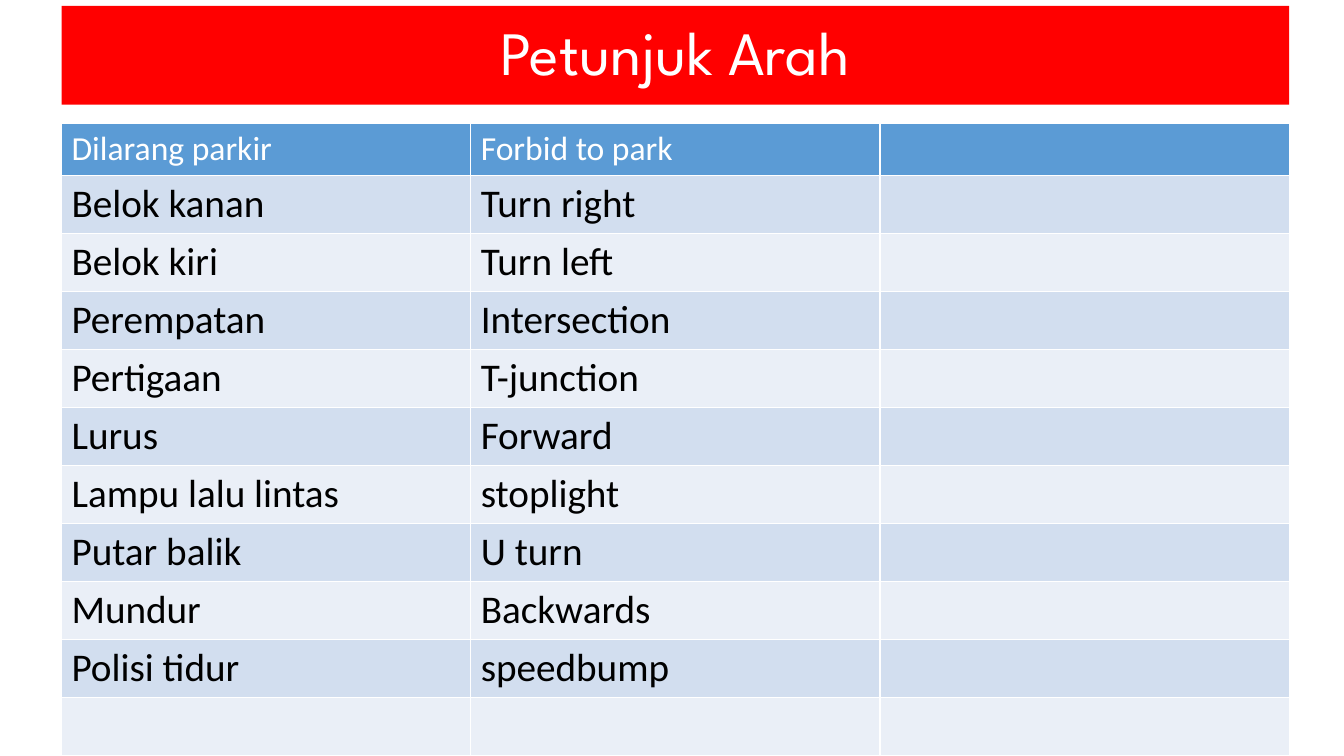
from dataclasses import dataclass

from lxml.etree import SubElement
from pptx import Presentation
from pptx.dml.color import RGBColor as Rgb
from pptx.enum.text import MSO_ANCHOR as Anchor, MSO_AUTO_SIZE as Fit, PP_ALIGN as Align
from pptx.oxml.ns import qn
from pptx.text.text import TextFrame as Frame
from pptx.util import Cm, Pt


@dataclass(frozen=True)
class Theme:
    red: str = "FF0000"
    blue: str = "5B9BD5"
    bands: tuple[str, str] = ("D2DEEF", "EAEFF7")
    white: str = "FFFFFF"
    black: str = "000000"
    display: str = "League Spartan"
    body: str = "Calibri"
    title: int = 44
    head: int = 24
    cell: int = 28


@dataclass(frozen=True)
class Sign:
    local: str = ""
    english: str = ""
    image: str = ""


THEME = Theme()
LEFT, WIDTH = Cm(1.55), Cm(30.94)
SIGNS = [
    Sign("Dilarang parkir", "Forbid to park"),
    Sign("Belok kanan", "Turn right"),
    Sign("Belok kiri", "Turn left"),
    Sign("Perempatan", "Intersection"),
    Sign("Pertigaan", "T-junction"),
    Sign("Lurus", "Forward"),
    Sign("Lampu lalu lintas", "stoplight"),
    Sign("Putar balik", "U turn"),
    Sign("Mundur", "Backwards"),
    Sign("Polisi tidur", "speedbump"),
    Sign(),
]


def write(frame: Frame, text: str, *, size: int, color: str,
          face: str = THEME.body, align: Align = Align.LEFT) -> None:
    para = frame.paragraphs[0]
    para.alignment = align
    if not text:
        # An empty cell keeps the line height of its type size
        SubElement(para._p, qn("a:endParaRPr"), sz=str(size * 100))
        return
    run = para.add_run()
    run.text = text
    font = run.font
    font.name, font.size, font.bold = face, Pt(size), False
    font.color.rgb = Rgb.from_string(color)


def add_title(slide, text: str) -> None:
    title = slide.shapes.title
    title.left, title.top, title.width, title.height = LEFT, Cm(0.15), WIDTH, Cm(2.49)
    title.fill.solid()
    title.fill.fore_color.rgb = Rgb.from_string(THEME.red)
    frame = title.text_frame
    frame.auto_size = Fit.NONE
    frame.vertical_anchor = Anchor.MIDDLE
    write(frame, text, size=THEME.title, color=THEME.white,
          face=THEME.display, align=Align.CENTER)
    frame.paragraphs[0].line_spacing = 0.9


def add_signs(slide, signs: list[Sign]) -> None:
    height = Cm(15.7)
    holder = slide.shapes.add_table(len(signs), 3, LEFT, Cm(3.12), WIDTH, height)
    for at, (row, sign) in enumerate(zip(holder.table.rows, signs)):
        row.height = Cm(1.3)
        head = at == 0
        fill = THEME.blue if head else THEME.bands[(at - 1) % 2]
        for cell, text in zip(row.cells, (sign.local, sign.english, sign.image)):
            cell.fill.solid()
            cell.fill.fore_color.rgb = Rgb.from_string(fill)
            write(cell.text_frame, text,
                  size=THEME.head if head else THEME.cell,
                  color=THEME.white if head else THEME.black)
    holder.height = height


def main() -> None:
    deck = Presentation()
    deck.slide_width, deck.slide_height = Cm(33.87), Cm(19.05)
    slide = deck.slides.add_slide(deck.slide_layouts[5])
    # Heading band
    add_title(slide, "Petunjuk Arah")
    # Vocabulary table
    add_signs(slide, SIGNS)
    deck.save("out.pptx")


if __name__ == "__main__":
    main()
